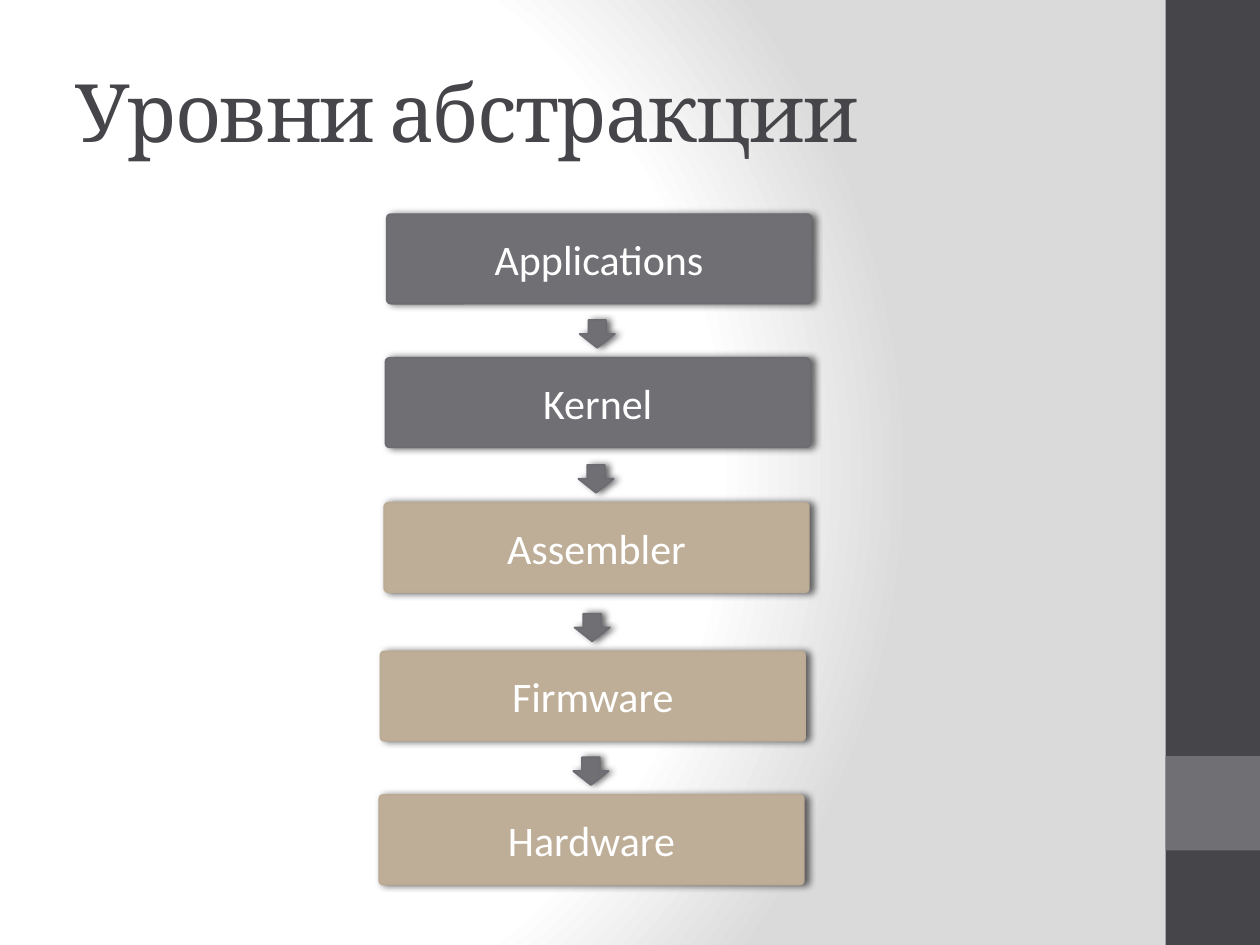
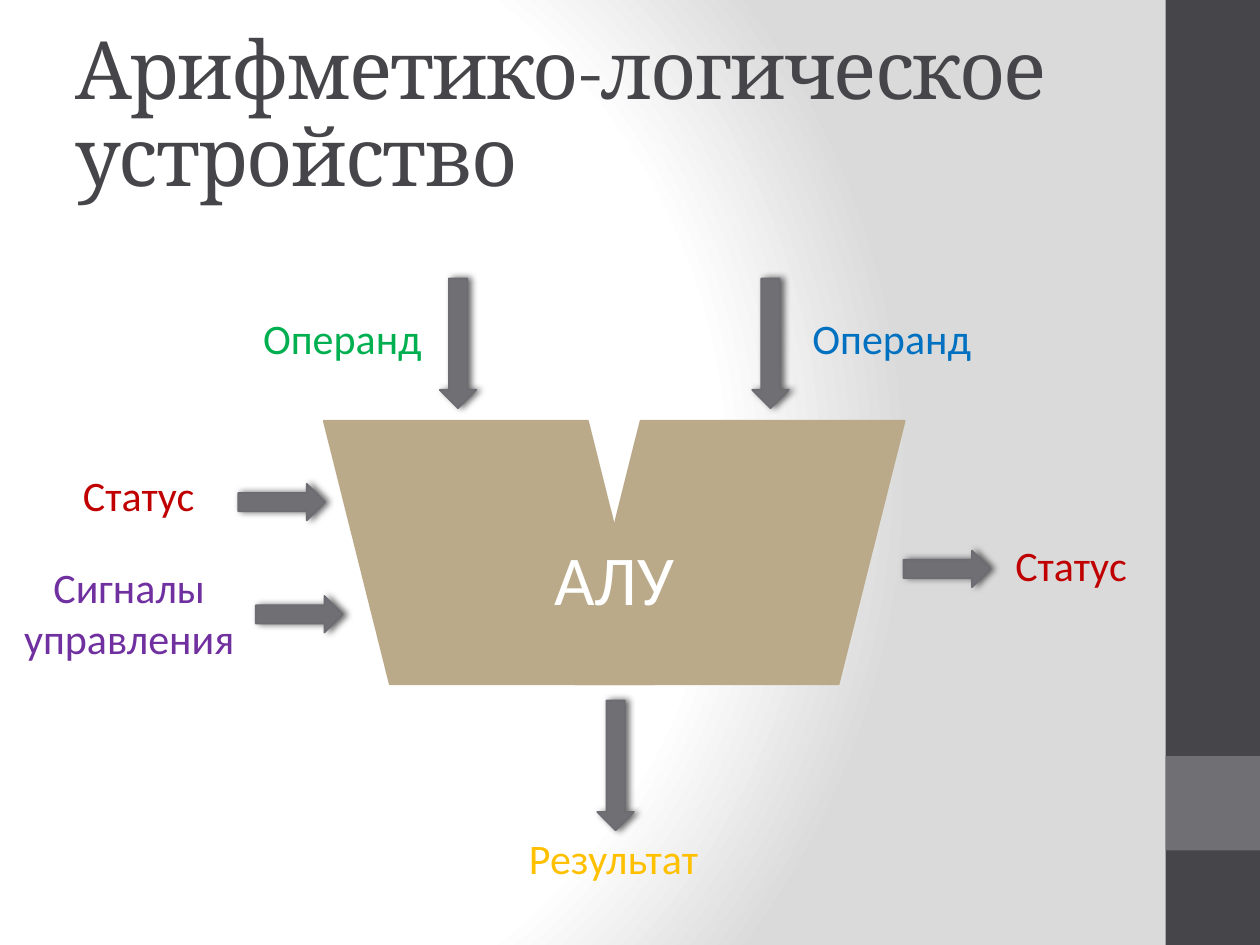
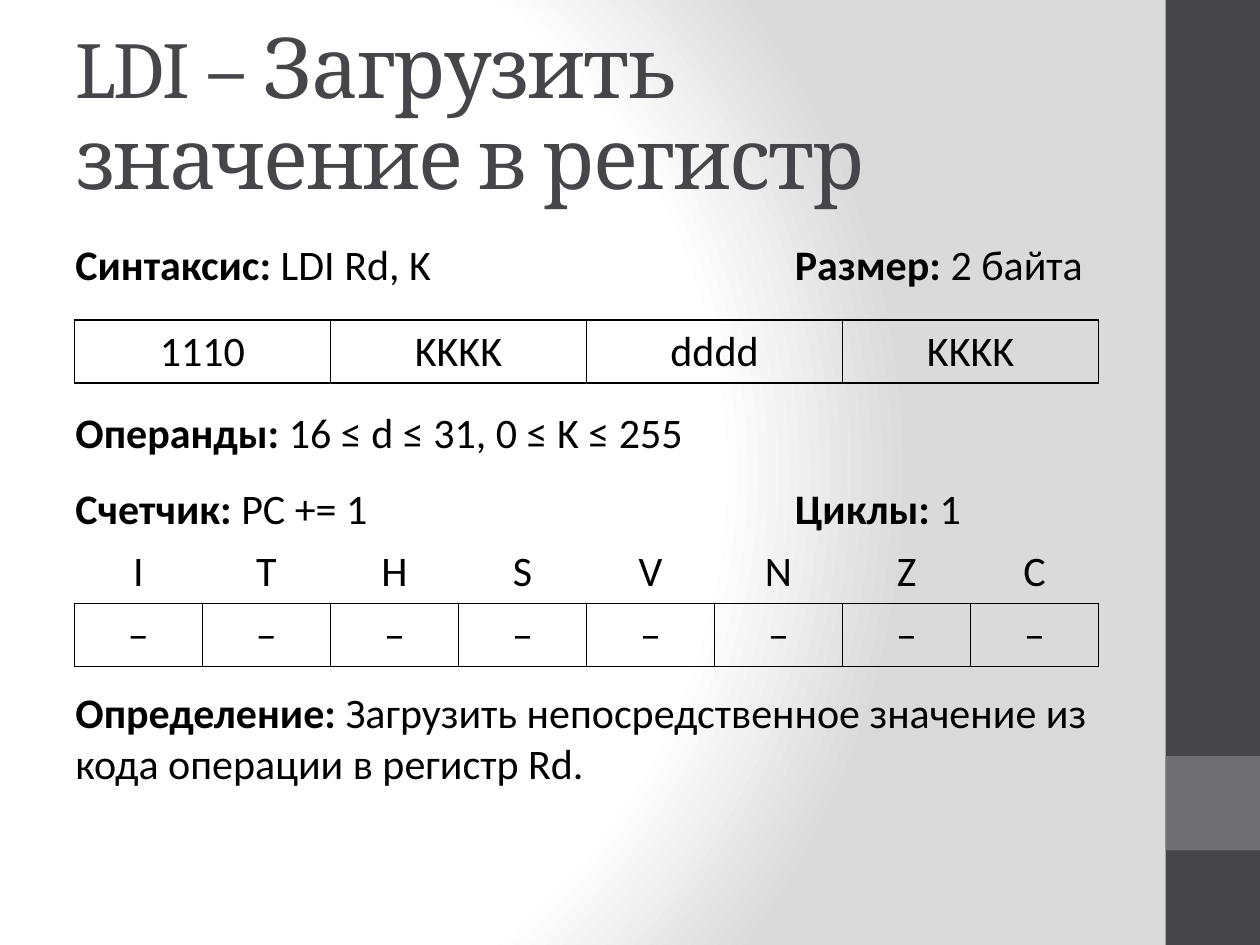
from dataclasses import dataclass

from lxml.etree import SubElement
from pptx import Presentation
from pptx.dml.color import RGBColor
from pptx.enum.shapes import MSO_SHAPE as Preset
from pptx.enum.text import MSO_ANCHOR as Anchor, MSO_AUTO_SIZE as AutoSize, PP_ALIGN as Align
from pptx.oxml import parse_xml
from pptx.oxml.ns import nsdecls, qn
from pptx.util import Inches, Pt

# Shared colours and formats
DARK = RGBColor(0x46, 0x46, 0x4A)
GREY = RGBColor(0x6F, 0x6F, 0x74)
GREY_EDGE = RGBColor(0x6C, 0x6C, 0x72)
SAND = RGBColor(0xBE, 0xAE, 0x98)
SAND_EDGE = RGBColor(0xBB, 0xAA, 0x94)
ALU_SAND = RGBColor(0xBB, 0xAA, 0x8A)
WHITE = RGBColor(0xFF, 0xFF, 0xFF)
BLACK = RGBColor(0x00, 0x00, 0x00)
GREEN = RGBColor(0x00, 0xB0, 0x50)
BLUE = RGBColor(0x00, 0x70, 0xC0)
RED = RGBColor(0xC0, 0x00, 0x00)
PURPLE = RGBColor(0x70, 0x30, 0xA0)
AMBER = RGBColor(0xFF, 0xC0, 0x00)

TITLE = {"name": "Cambria", "size": Pt(46), "color": DARK}
BODY = {"name": "Calibri", "size": Pt(24), "color": BLACK}
PLAIN_TABLE = "{2D5ABB26-0587-4C30-8999-92F81FD0307C}"

GRADIENT = f"""<a:gradFill {nsdecls("a")} rotWithShape="1"><a:gsLst>
<a:gs pos="0"><a:srgbClr val="FFFFFF"/></a:gs>
<a:gs pos="75000"><a:srgbClr val="FFFFFF"/></a:gs>
<a:gs pos="100000"><a:srgbClr val="DADADA"/></a:gs></a:gsLst>
<a:path path="circle"><a:fillToRect l="20000" t="50000" r="100000" b="50000"/></a:path>
</a:gradFill>"""
SHADOW = f"""<a:outerShdw {nsdecls("a")} blurRad="50800" dist="25400" dir="0" rotWithShape="0">
<a:srgbClr val="000000"><a:alpha val="60000"/></a:srgbClr></a:outerShdw>"""


@dataclass(frozen=True)
class Frame:
    left: float
    top: float
    width: float
    height: float

    def lengths(self) -> list:
        return [Inches(v) for v in (self.left, self.top, self.width, self.height)]


@dataclass(frozen=True)
class Layer:
    text: str
    left: float
    top: float
    fill: RGBColor
    edge: RGBColor


@dataclass(frozen=True)
class Arrow:
    frame: Frame
    rotation: int = 0


@dataclass(frozen=True)
class Label:
    text: str
    frame: Frame
    color: RGBColor
    size: int = 24
    align: Align = Align.LEFT


@dataclass(frozen=True)
class Fact:
    name: str
    value: str
    frame: Frame
    wrap: bool = False


TITLE_FRAME = Frame(0.5, 0.3, 8.33, 1.25)
BANDS = [(Frame(9.25, 0, 0.75, 7.5), DARK), (Frame(9.25, 6, 0.75, 0.75), GREY)]

LAYERS = [
    Layer("Applications", 3.07, 1.7, GREY, GREY_EDGE),
    Layer("Kernel", 3.06, 2.84, GREY, GREY_EDGE),
    Layer("Assembler", 3.05, 3.99, SAND, SAND_EDGE),
    Layer("Firmware", 3.02, 5.17, SAND, SAND_EDGE),
    Layer("Hardware", 3.01, 6.31, SAND, SAND_EDGE),
]

ALU_ARROWS = [
    *(Arrow(Frame(left, top, 0.29, 1.03))
      for left, top in [(3.49, 2.21), (5.97, 2.21), (4.74, 5.56)]),
    *(Arrow(Frame(left, top, 0.29, 0.69), 270)
      for left, top in [(2.09, 3.64), (2.23, 4.53), (7.37, 4.17)]),
]
ALU_LABELS = [
    Label("Операнд", Frame(1.99, 2.43, 1.47, 0.5), GREEN),
    Label("Операнд", Frame(6.35, 2.43, 1.47, 0.5), BLUE),
    Label("Статус", Frame(7.96, 4.23, 1.1, 0.5), RED),
    Label("Статус", Frame(0.56, 3.68, 1.1, 0.5), RED),
    Label("Сигналы\nуправления", Frame(0.08, 4.41, 1.89, 0.91), PURPLE, align=Align.CENTER),
    Label("Результат", Frame(4.1, 6.56, 1.6, 0.5), AMBER),
    Label("АЛУ", Frame(4.3, 4.2, 1.17, 0.77), WHITE, 40),
]

FACTS = [
    Fact("Синтаксис: ", "LDI Rd, K", Frame(0.5, 1.84, 3.06, 0.5)),
    Fact("Размер: ", "2 байта", Frame(6.21, 1.84, 2.51, 0.5)),
    Fact("Операнды: ", "16 ≤ d ≤ 31, 0 ≤ K ≤ 255", Frame(0.5, 3.18, 8.33, 0.5), True),
    Fact("Счетчик: ", "PC += 1", Frame(0.5, 3.78, 2.62, 0.5)),
    Fact("Циклы: ", "1", Frame(6.21, 3.78, 1.53, 0.5)),
    Fact("Определение: ", "Загрузить непосредственное значение из кода операции в регистр Rd.",
         Frame(0.5, 5.4, 8.33, 0.91), True),
]
OPCODE = [["1110", "KKKK", "dddd", "KKKK"]]
FLAGS = [list("ITHSVNZC"), ["–"] * 8]


# Text
def add_span(para, text: str, style: dict, spacing: int = 0) -> None:
    for index, line in enumerate(text.split("\n")):
        if index:
            para.add_line_break()
        span = para.add_run()
        span.text = line
        for name, value in style.items():
            if name == "color":
                span.font.color.rgb = value
            else:
                setattr(span.font, name, value)
        if spacing:
            span.font._element.set("spc", str(spacing))


def add_text(page, frame: Frame, spans: list, align=Align.LEFT, wrap: bool = False) -> None:
    text = page.shapes.add_textbox(*frame.lengths()).text_frame
    text.word_wrap = wrap
    text.auto_size = AutoSize.SHAPE_TO_FIT_TEXT
    para = text.paragraphs[0]
    para.alignment = align
    for words, style in spans:
        add_span(para, words, style)


def add_title(page, spans: list) -> None:
    text = page.shapes.add_textbox(*TITLE_FRAME.lengths()).text_frame
    text.word_wrap = True
    text.auto_size = AutoSize.NONE
    text.vertical_anchor = Anchor.MIDDLE
    para = text.paragraphs[0]
    para.line_spacing = 0.9
    for words, size in spans:
        add_span(para, words, TITLE | {"size": Pt(size)}, spacing=-100)


# Shapes
def add_preset(page, preset, frame: Frame, fill: RGBColor, edge=None, shadow: bool = False):
    shape = page.shapes.add_shape(preset, *frame.lengths())
    shape.shadow.inherit = False
    shape.fill.solid()
    shape.fill.fore_color.rgb = fill
    if edge is None:
        shape.line.fill.background()
    else:
        shape.line.color.rgb = edge
        shape.line.width = Pt(1)
    if shadow:
        shape._element.spPr.find(qn("a:effectLst")).append(parse_xml(SHADOW))
    return shape


def add_arrow(page, arrow: Arrow) -> None:
    shape = add_preset(page, Preset.DOWN_ARROW, arrow.frame, GREY, GREY_EDGE, shadow=True)
    shape.rotation = arrow.rotation


def add_layer(page, layer: Layer) -> None:
    frame = Frame(layer.left, layer.top, 3.37, 0.71)
    box = add_preset(page, Preset.ROUNDED_RECTANGLE, frame, layer.fill, layer.edge, shadow=True)
    box.adjustments[0] = 0.044
    box.text_frame.vertical_anchor = Anchor.MIDDLE
    para = box.text_frame.paragraphs[0]
    para.alignment = Align.CENTER
    add_span(para, layer.text, BODY | {"color": WHITE})


# Tables
def add_borders(cell, sides: str) -> None:
    properties = cell._tc.get_or_add_tcPr()
    for side in sides:
        line = SubElement(properties, qn(f"a:ln{side}"), w=str(Pt(1)))
        SubElement(SubElement(line, qn("a:solidFill")), qn("a:srgbClr"), val=str(BLACK))


def add_grid(page, top: float, rows: list) -> None:
    """Draw centred cells; the last row is boxed, a heading row is only underlined."""
    frame = Frame(0.59, top, 8.13, 0.5 * len(rows))
    table = page.shapes.add_table(len(rows), len(rows[0]), *frame.lengths()).table
    table.first_row = table.horz_banding = False
    table._tbl.tblPr.find(qn("a:tableStyleId")).text = PLAIN_TABLE
    for row, words in enumerate(rows):
        for column, word in enumerate(words):
            cell = table.cell(row, column)
            add_borders(cell, "LRTB" if row == len(rows) - 1 else "B")
            cell.fill.background()
            para = cell.text_frame.paragraphs[0]
            para.alignment = Align.CENTER
            add_span(para, word, BODY)


# Slides
def add_page(deck, title: list):
    page = deck.slides.add_slide(deck.slide_layouts[6])
    for frame, color in BANDS:
        add_preset(page, Preset.RECTANGLE, frame, color)
    add_title(page, title)
    return page


def set_background(deck) -> None:
    background = deck.slide_master.background
    background.fill.solid()
    solid = deck.slide_master._element.find(".//" + qn("p:bgPr")).find(qn("a:solidFill"))
    solid.getparent().replace(solid, parse_xml(GRADIENT))


def add_abstraction_page(deck) -> None:
    page = add_page(deck, [("Уровни абстракции", 46)])
    for index, layer in enumerate(LAYERS):
        add_layer(page, layer)
        if index:
            add_arrow(page, Arrow(Frame(layer.left + 1.54, layer.top - 0.3, 0.28, 0.22)))


def add_alu_page(deck) -> None:
    page = add_page(deck, [("Арифметико-логическое устройство", 46)])
    for left, flipped in [(4.56, False), (2.57, True)]:
        half = add_preset(page, Preset.FLOWCHART_DATA, Frame(left, 3.34, 2.62, 2.09),
                          ALU_SAND, ALU_SAND)
        if flipped:
            half._element.spPr.find(qn("a:xfrm")).set("flipH", "1")
    for arrow in ALU_ARROWS:
        add_arrow(page, arrow)
    for label in ALU_LABELS:
        style = BODY | {"color": label.color, "size": Pt(label.size)}
        add_text(page, label.frame, [(label.text, style)], label.align)


def add_ldi_page(deck) -> None:
    page = add_page(deck, [("LDI ", 46), ("– Загрузить\nзначение в регистр", 48)])
    for fact in FACTS:
        spans = [(fact.name, BODY | {"bold": True}), (fact.value, BODY)]
        add_text(page, fact.frame, spans, wrap=fact.wrap)
    add_grid(page, 2.54, OPCODE)
    add_grid(page, 4.29, FLAGS)


def main() -> None:
    deck = Presentation()
    deck.slide_width, deck.slide_height = Inches(10), Inches(7.5)
    set_background(deck)
    add_abstraction_page(deck)
    add_alu_page(deck)
    add_ldi_page(deck)
    deck.save("out.pptx")


if __name__ == "__main__":
    main()
